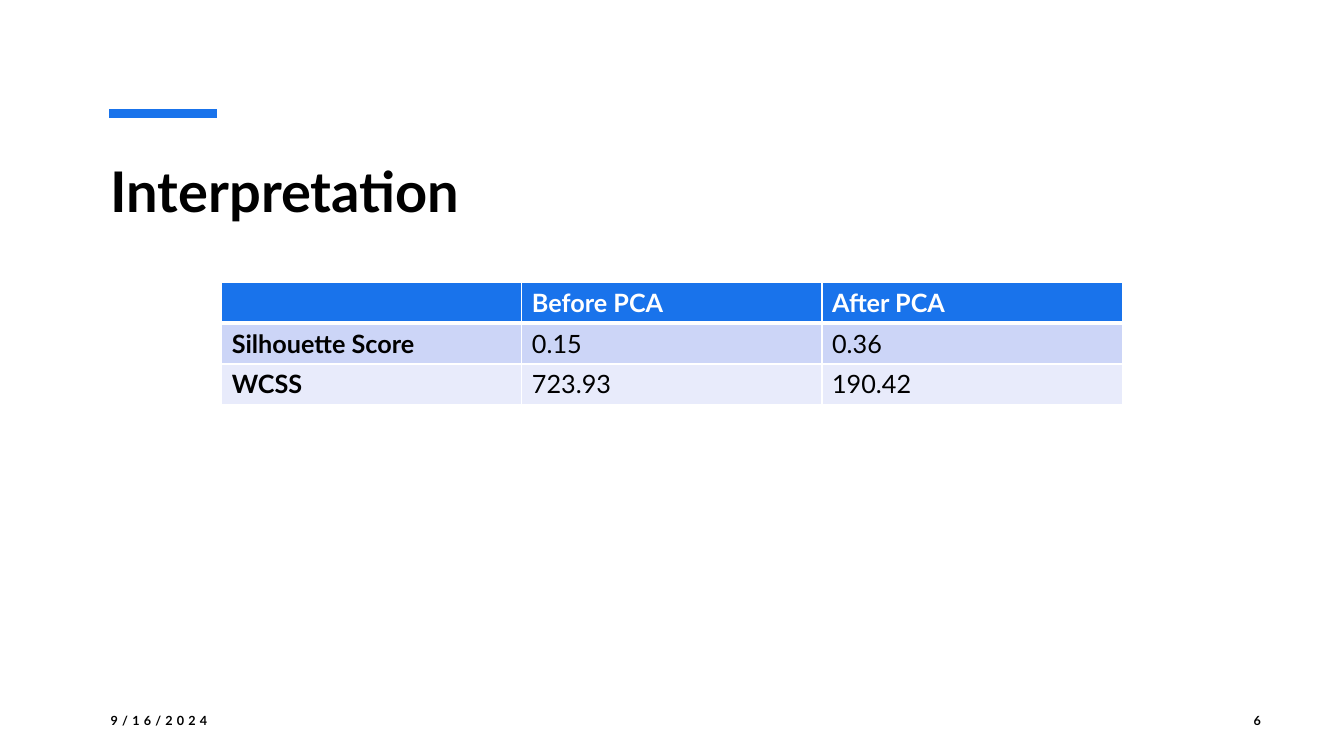
from lxml.etree import SubElement
from pptx import Presentation
from pptx.dml.color import RGBColor
from pptx.enum.shapes import MSO_CONNECTOR
from pptx.enum.text import MSO_ANCHOR, PP_ALIGN
from pptx.oxml.ns import qn
from pptx.util import Inches, Pt

BLUE = RGBColor(0x19, 0x73, 0xEB)
BAND_DARK = RGBColor(0xCC, 0xD5, 0xF7)
BAND_LIGHT = RGBColor(0xE8, 0xEB, 0xFB)
BLACK = RGBColor(0, 0, 0)
WHITE = RGBColor(0xFF, 0xFF, 0xFF)


class Deck:
    """Style and current slide; positions are cells of a 160 x 90 grid."""
    FONT = "Lato"
    COLS, ROWS = 160, 90

    def __init__(self):
        self.prs = Presentation()
        self.prs.slide_width, self.prs.slide_height = Inches(40 / 3), Inches(7.5)
        self.s = self.prs.slides.add_slide(self.prs.slide_layouts[6])

    def x(self, cols):
        return round(self.prs.slide_width * cols / self.COLS)

    def y(self, rows):
        return round(self.prs.slide_height * rows / self.ROWS)

    def box(self, x, y, w, h):
        return self.x(x), self.y(y), self.x(w), self.y(h)

    def style(self, p, size, color, bold, spacing=0):
        for r in p.runs:
            f = r.font
            f.name, f.size, f.bold = self.FONT, Pt(size), bold
            f.color.rgb = color
            if spacing:
                r._r.get_or_add_rPr().set("spc", str(spacing * 100))

    def text(self, text, at, size, anchor=MSO_ANCHOR.MIDDLE,
             align=PP_ALIGN.LEFT, spacing=0):
        tf = self.s.shapes.add_textbox(*self.box(*at)).text_frame
        tf.word_wrap, tf.vertical_anchor = True, anchor
        tf.text = text
        p = tf.paragraphs[0]
        p.alignment = align
        self.style(p, size, BLACK, True, spacing)

    def rule(self, x1, x2, y, width):
        line = self.s.shapes.add_connector(
            MSO_CONNECTOR.STRAIGHT, self.x(x1), self.y(y), self.x(x2), self.y(y))
        line.line.color.rgb, line.line.width = BLUE, Pt(width)
        SubElement(line._element.spPr, qn("a:effectLst"))

    def borders(self, cell, **widths):
        tcPr = cell._tc.get_or_add_tcPr()
        for side in "LRTB":
            ln = SubElement(tcPr, qn(f"a:ln{side}"), w=str(Pt(widths.get(side, 1))))
            fill = SubElement(ln, qn("a:solidFill"))
            SubElement(fill, qn("a:srgbClr"), val=str(WHITE))

    def table(self, rows, fills, at, size):
        tbl = self.s.shapes.add_table(len(rows), len(rows[0]), *self.box(*at)).table
        for i, (row, fill) in enumerate(zip(rows, fills)):
            for j, value in enumerate(row):
                cell = tbl.cell(i, j)
                cell.text = value
                self.style(cell.text_frame.paragraphs[0], size,
                           BLACK if i else WHITE, i == 0 or j == 0)
                # Heavier line between header and body
                self.borders(cell, B=1 if i else 3, T=3 if i == 1 else 1)
                cell.fill.solid()
                cell.fill.fore_color.rgb = fill


def main():
    deck = Deck()

    # Accent rule and title
    deck.rule(13, 25.8, 13.5, 6)
    deck.text("Interpretation", (12, 18, 136, 15.6), 40, MSO_ANCHOR.TOP)

    # Footer: date and slide number
    deck.text("9/16/2024", (12, 83.4, 36, 4.8), 9, spacing=3)
    deck.text("6", (141.8, 83.4, 9.5, 4.8), 9, align=PP_ALIGN.RIGHT, spacing=3)

    # Scores before and after PCA
    scores = [("", "Before PCA", "After PCA"),
              ("Silhouette Score", "0.15", "0.36"),
              ("WCSS", "723.93", "190.42")]
    deck.table(scores, (BLUE, BAND_DARK, BAND_LIGHT), (26.4, 33.6, 107.2, 14.6), 18)

    deck.prs.save("out.pptx")


if __name__ == "__main__":
    main()
